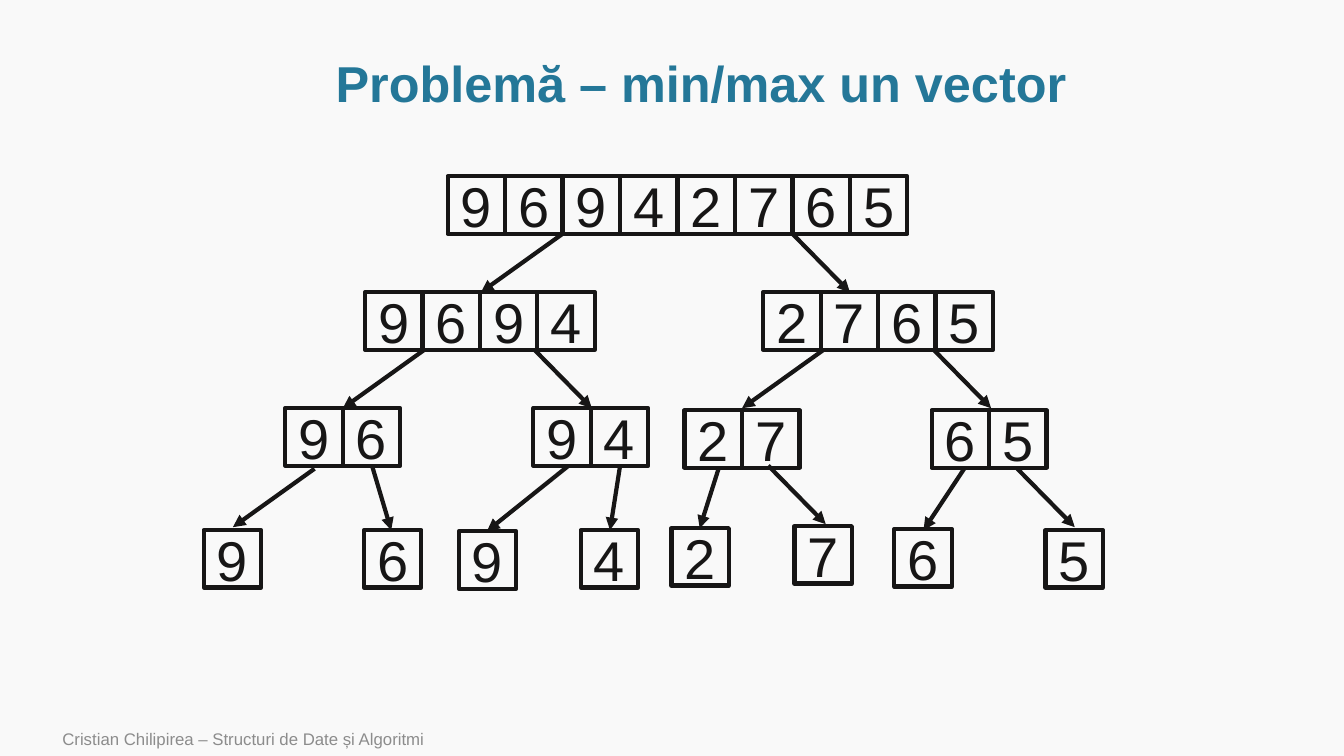
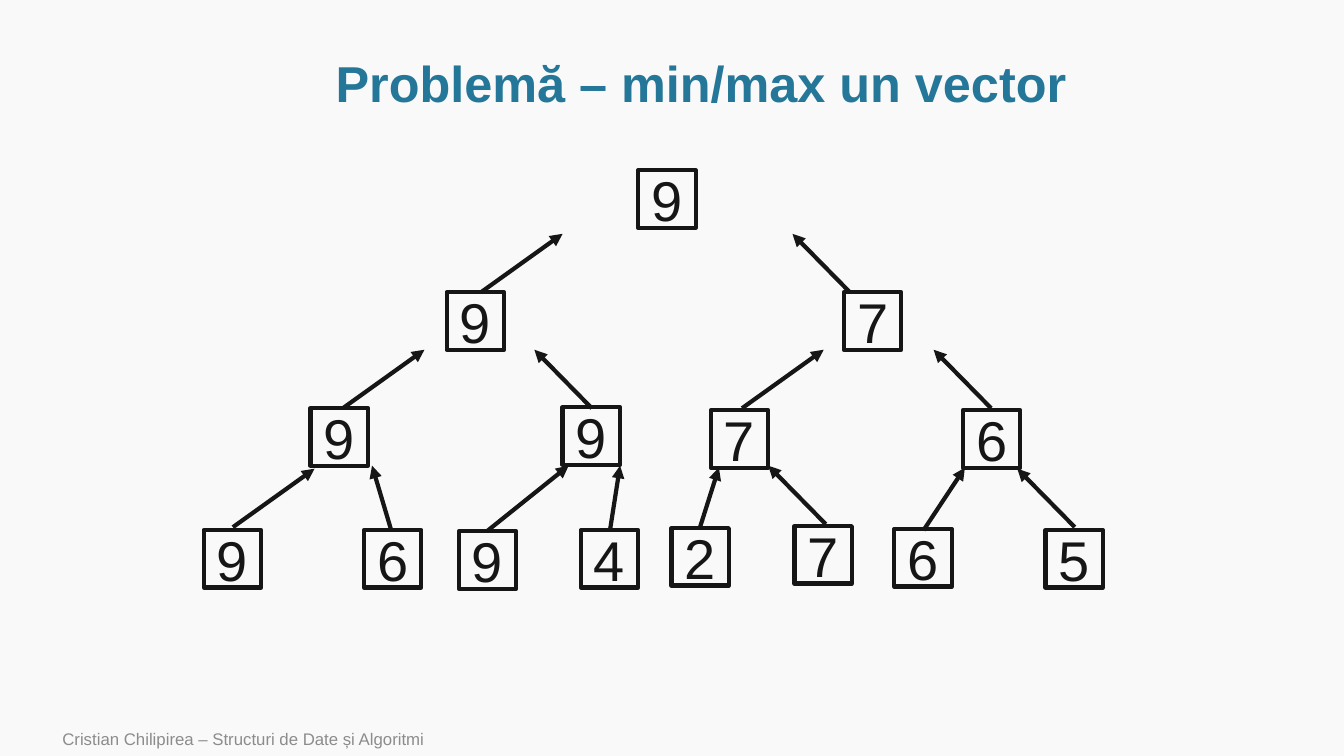
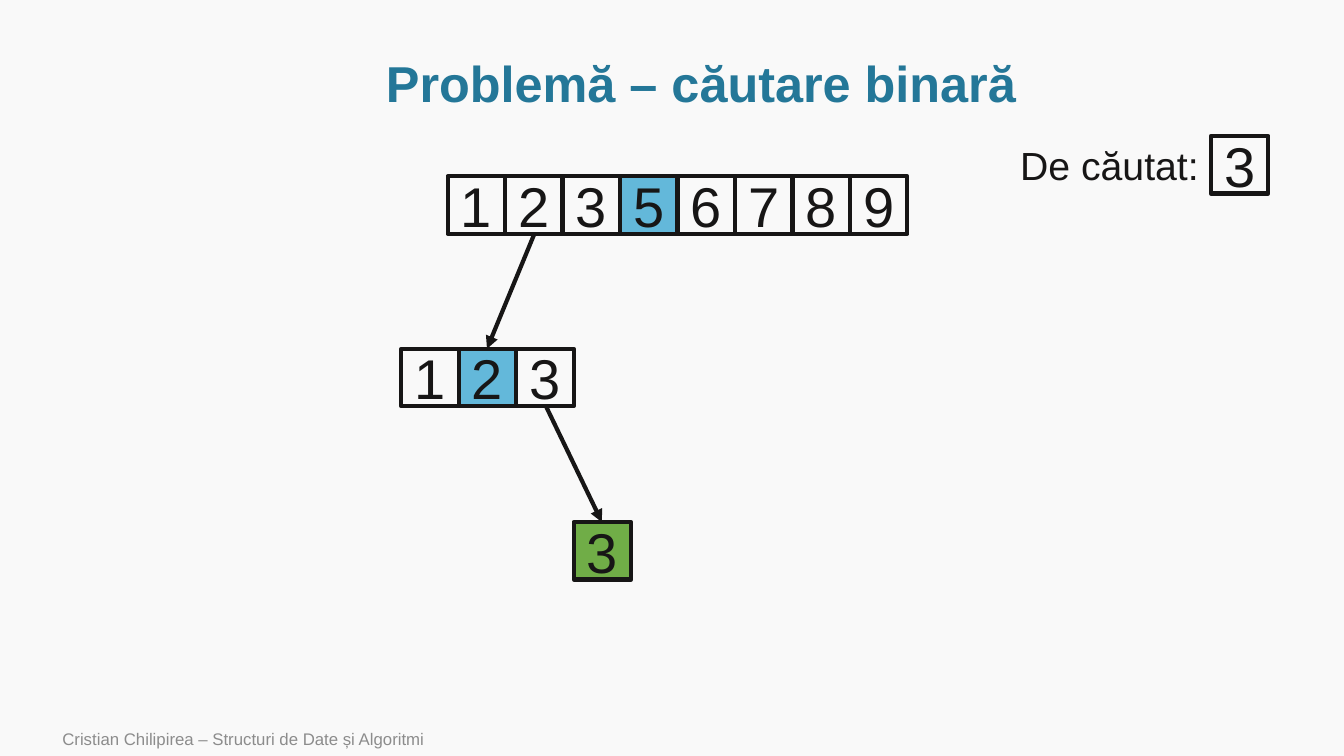
from lxml.etree import SubElement
from pptx import Presentation
from pptx.dml.color import RGBColor
from pptx.enum.shapes import MSO_CONNECTOR, MSO_SHAPE
from pptx.enum.text import MSO_ANCHOR, PP_ALIGN
from pptx.oxml.ns import qn
from pptx.util import Inches, Pt

COLORS = {
    "background": "F9F9F9",
    "ink": "171616",
    "title": "247798",
    "footer": "8C8C8C",
    "middle": "63B8DA",
    "found": "70AD47",
}
FONT = "Arial"
CELL = 0.57
FOOTER = "Cristian Chilipirea – Structuri de Date și Algoritmi"
MIN_MAX_TITLE = "Problemă – min/max un vector"

# Tree branches: upper x, y and lower x, y
BRANCHES = [
    (5.58, 2.32, 4.77, 2.9), (7.86, 2.32, 8.43, 2.9),
    (4.21, 3.47, 3.4, 4.05), (5.3, 3.47, 5.87, 4.05),
    (8.17, 3.47, 7.36, 4.05), (9.26, 3.47, 9.83, 4.05),
    (3.12, 4.65, 2.31, 5.23), (3.69, 4.62, 3.88, 5.26),
    (5.64, 4.62, 4.83, 5.27), (6.15, 4.62, 6.05, 5.26),
    (7.13, 4.64, 6.94, 5.24), (7.62, 4.62, 8.19, 5.2),
    (9.57, 4.64, 9.16, 5.26), (10.09, 4.65, 10.66, 5.23),
]

# Vectors: left, top, digits
LEAVES = [
    (2.02, 5.26, "9"), (3.61, 5.26, "6"), (4.55, 5.27, "9"), (5.76, 5.26, "4"),
    (6.66, 5.24, "2"), (7.88, 5.22, "7"), (8.87, 5.25, "6"), (10.37, 5.26, "5"),
]
SPLIT_VECTORS = [
    (4.44, 1.75, "96942765"),
    (3.62, 2.9, "9694"), (7.57, 2.9, "2765"),
    (2.83, 4.05, "96"), (5.29, 4.05, "94"), (6.79, 4.07, "27"), (9.24, 4.07, "65"),
]
MAXIMA = [
    (6.33, 1.69, "9"),
    (4.43, 2.9, "9"), (8.37, 2.9, "7"),
    (3.08, 4.05, "9"), (5.58, 4.04, "9"), (7.05, 4.07, "7"), (9.55, 4.07, "6"),
]


def color(name):
    return RGBColor.from_string(COLORS[name])


class SlideBuilder:
    """Holds the shared style and the current slide."""

    def __init__(self):
        self.deck = Presentation()
        self.deck.slide_width = Inches(13.33)
        self.deck.slide_height = Inches(7.5)
        self.page = None

    def add_page(self, title):
        self.page = self.deck.slides.add_slide(self.deck.slide_layouts[6])
        fill = self.page.background.fill
        fill.solid()
        fill.fore_color.rgb = color("background")
        self.add_text(0.52, 7.16, 8.4, 0.34, FOOTER, 12, "footer")
        heading = self.add_text(1.14, 0.51, 11.63, 0.69, title, 36, "title",
                                align=PP_ALIGN.CENTER, bold=True)
        heading.text_frame.paragraphs[0].line_spacing = 0.9

    def set_text(self, box, text, size, ink, align, bold=False, anchor=MSO_ANCHOR.MIDDLE):
        frame = box.text_frame
        frame.text = text
        frame.vertical_anchor = anchor
        para = frame.paragraphs[0]
        para.alignment = align
        font = para.runs[0].font
        font.name, font.size, font.bold = FONT, Pt(size), bold
        font.color.rgb = color(ink)

    def add_text(self, left, top, width, height, text, size, ink,
                 align=PP_ALIGN.LEFT, bold=False, anchor=MSO_ANCHOR.MIDDLE, wrap=True):
        box = self.page.shapes.add_textbox(
            Inches(left), Inches(top), Inches(width), Inches(height))
        box.text_frame.word_wrap = wrap
        self.set_text(box, text, size, ink, align, bold, anchor)
        return box

    def add_cell(self, left, top, digit, fill=None):
        cell = self.page.shapes.add_shape(
            MSO_SHAPE.RECTANGLE, Inches(left), Inches(top), Inches(CELL), Inches(CELL))
        cell.shadow.inherit = False
        if fill:
            cell.fill.solid()
            cell.fill.fore_color.rgb = color(fill)
        else:
            cell.fill.background()
        cell.line.color.rgb = color("ink")
        cell.line.width = Pt(3)
        self.set_text(cell, digit, 40, "ink", PP_ALIGN.CENTER)

    def add_vector(self, left, top, digits, marked=None, fill=None):
        for index, digit in enumerate(digits):
            self.add_cell(left + index * CELL, top, digit,
                          fill if index == marked else None)

    def add_arrow(self, x1, y1, x2, y2, end="a:tailEnd"):
        arrow = self.page.shapes.add_connector(
            MSO_CONNECTOR.STRAIGHT, Inches(x1), Inches(y1), Inches(x2), Inches(y2))
        arrow.line.color.rgb = color("ink")
        arrow.line.width = Pt(3)
        properties = arrow._element.spPr
        SubElement(properties.find(qn("a:ln")), qn(end), type="triangle")
        SubElement(properties, qn("a:effectLst"))

    def add_tree(self, vectors, end):
        for branch in BRANCHES:
            self.add_arrow(*branch, end=end)
        for vector in vectors + LEAVES:
            self.add_vector(*vector)


def main():
    builder = SlideBuilder()

    # Splitting the vector, arrows pointing down
    builder.add_page(MIN_MAX_TITLE)
    builder.add_tree(SPLIT_VECTORS, "a:tailEnd")

    # Combining the maxima, arrows pointing up
    builder.add_page(MIN_MAX_TITLE)
    builder.add_tree(MAXIMA, "a:headEnd")

    # Binary search
    builder.add_page("Problemă – căutare binară")
    builder.add_cell(12.01, 1.35, "3")
    builder.add_text(10.02, 1.35, 1.99, 0.57, "De căutat:", 28, "ink",
                     anchor=MSO_ANCHOR.TOP, wrap=False)
    builder.add_vector(4.44, 1.75, "12356789", marked=3, fill="middle")
    builder.add_vector(3.98, 3.46, "123", marked=1, fill="middle")
    builder.add_arrow(5.3, 2.32, 4.83, 3.46)
    builder.add_arrow(5.42, 4.04, 5.97, 5.18)
    builder.add_cell(5.69, 5.18, "3", fill="found")

    builder.deck.save("out.pptx")


if __name__ == "__main__":
    main()
